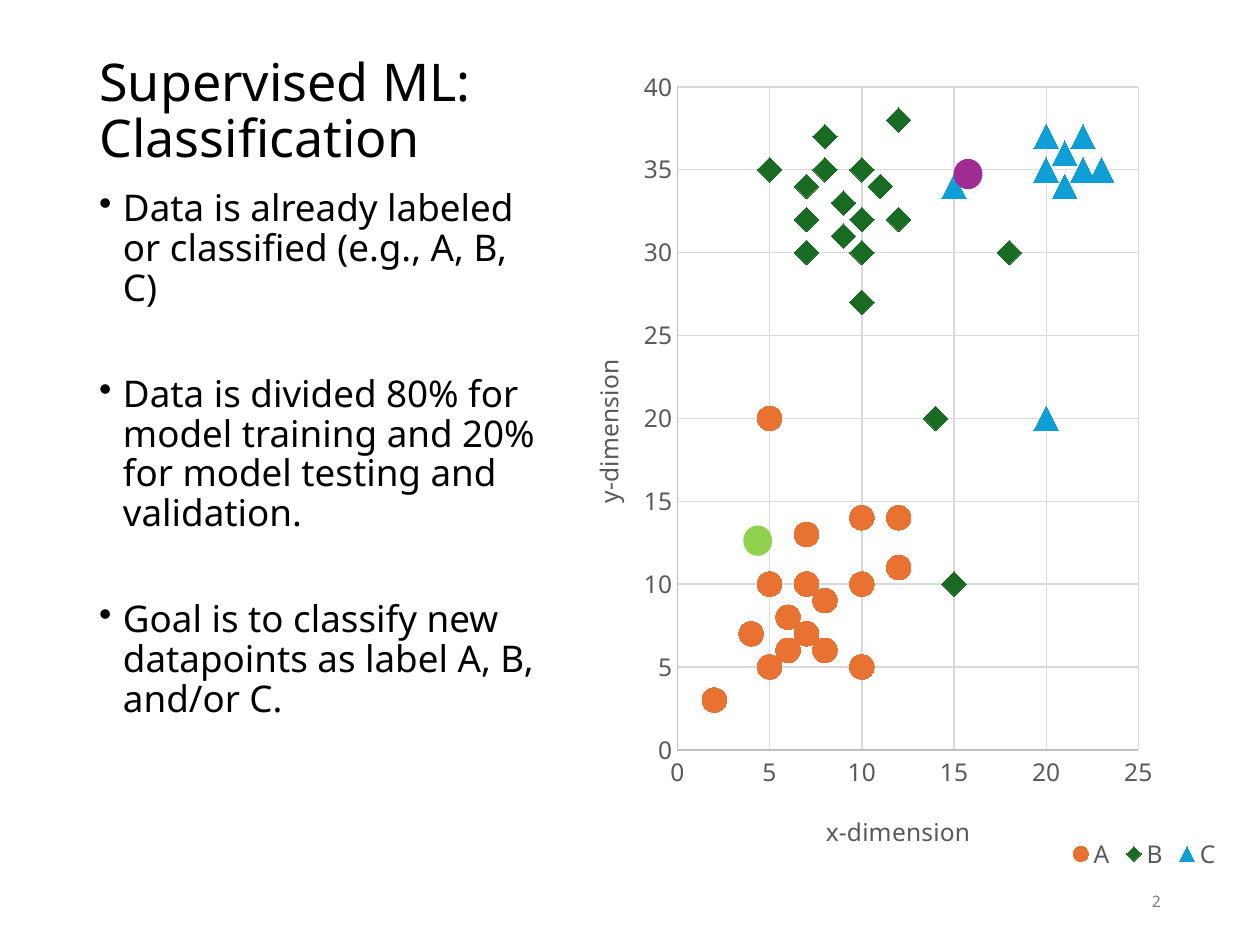
from pptx import Presentation
from pptx.chart.data import XyChartData
from pptx.dml.color import RGBColor
from pptx.enum.chart import XL_CHART_TYPE, XL_LEGEND_POSITION, XL_MARKER_STYLE, XL_TICK_MARK
from pptx.enum.shapes import MSO_SHAPE
from pptx.enum.text import MSO_ANCHOR, MSO_AUTO_SIZE, PP_ALIGN
from pptx.oxml import parse_xml
from pptx.oxml.ns import nsdecls, qn
from pptx.util import Cm, Pt

FONT = "Noto Sans"
BLACK = RGBColor(0x00, 0x00, 0x00)
GRAY = RGBColor(0x59, 0x59, 0x59)
NUMBER_GRAY = RGBColor(0x79, 0x79, 0x79)
AXIS_GRAY = RGBColor(0xBF, 0xBF, 0xBF)
GRID_GRAY = RGBColor(0xD9, 0xD9, 0xD9)
ORANGE = RGBColor(0xE9, 0x71, 0x32)
GREEN = RGBColor(0x19, 0x6B, 0x24)
BLUE = RGBColor(0x0F, 0x9E, 0xD5)
LIME = RGBColor(0x92, 0xD0, 0x50)
PURPLE = RGBColor(0xA0, 0x2B, 0x93)

BULLETS = [
    "Data is already labeled or classified (e.g., A, B, C)",
    "Data is divided 80% for model training and 20% for model testing and validation.",
    "Goal is to classify new datapoints as label A, B, and/or C.",
]
CLASSES = [
    ("A", ORANGE, XL_MARKER_STYLE.CIRCLE,
     [(2, 3), (4, 7), (5, 5), (5, 10), (5, 20), (6, 6), (6, 8), (7, 7), (7, 10), (7, 13),
      (8, 6), (8, 9), (10, 5), (10, 10), (10, 14), (12, 11), (12, 14)]),
    ("B", GREEN, XL_MARKER_STYLE.DIAMOND,
     [(5, 35), (7, 30), (7, 32), (7, 34), (8, 35), (8, 37), (9, 31), (9, 33), (10, 27),
      (10, 30), (10, 32), (10, 35), (11, 34), (12, 32), (12, 38), (14, 20), (15, 10), (18, 30)]),
    ("C", BLUE, XL_MARKER_STYLE.TRIANGLE,
     [(15, 34), (20, 20), (20, 35), (20, 37), (21, 34), (21, 36), (22, 35), (22, 37), (23, 35)]),
]


def style(font, size, color):
    font.name = FONT
    font.size = Pt(size)
    font.bold = False
    font.color.rgb = color


def place(element, index, target="", **shares):
    old = element.find(qn("c:layout"))
    if old is not None:
        element.remove(old)
    modes = "".join(f'<c:{name}Mode val="edge"/>' for name in "xy")
    values = "".join(f'<c:{name} val="{share}"/>' for name, share in shares.items())
    element.insert(index, parse_xml(
        f'<c:layout {nsdecls("c")}><c:manualLayout>{target}{modes}{values}'
        "</c:manualLayout></c:layout>"))


deck = Presentation()
deck.slide_width, deck.slide_height = Cm(25.4), Cm(19.05)
page = deck.slides.add_slide(deck.slide_layouts[5])

title = page.shapes.title
title.left, title.top, title.width, title.height = Cm(1.75), Cm(1.02), Cm(10.24), Cm(2.49)
title.text_frame.text = "Supervised ML: Classification"
title.text_frame.auto_size = MSO_AUTO_SIZE.NONE
title.text_frame.vertical_anchor = MSO_ANCHOR.MIDDLE
para = title.text_frame.paragraphs[0]
para.alignment = PP_ALIGN.LEFT
para.line_spacing = 0.9
style(para.font, 29.7, BLACK)

body = page.shapes.add_textbox(Cm(1.75), Cm(3.71), Cm(9.4), Cm(13.82))
body.text_frame.word_wrap = True
body.text_frame.text = "\n".join(BULLETS)
for number, para in enumerate(body.text_frame.paragraphs):
    para.line_spacing = 0.9
    para.space_before = Pt(38 if number else 7.5)
    style(para.font, 21, BLACK)
    properties = para._p.get_or_add_pPr()
    properties.set("marL", str(Cm(0.48)))
    properties.set("indent", str(Cm(-0.48)))
    bullet = parse_xml(f'<a:buChar {nsdecls("a")} char="•"/>')
    properties.find(qn("a:defRPr")).addprevious(bullet)

number_box = page.shapes.add_textbox(Cm(17.93), Cm(17.65), Cm(5.72), Cm(1.02))
number_box.text_frame.vertical_anchor = MSO_ANCHOR.MIDDLE
number_box.text_frame.word_wrap = True
para = number_box.text_frame.paragraphs[0]
para.text = "2"
para.alignment = PP_ALIGN.RIGHT
style(para.font, 9, NUMBER_GRAY)

all_points = sorted(point for *_, points in CLASSES for point in points)
data = XyChartData()
for name, color, marker, points in CLASSES:
    series = data.add_series(name)
    for x, y in all_points:
        series.add_data_point(x, y if (x, y) in points else None)
chart = page.shapes.add_chart(
    XL_CHART_TYPE.XY_SCATTER, Cm(10.95), Cm(0.89), Cm(14.02), Cm(16.92), data).chart
for blank in chart._chartSpace.xpath('.//c:yVal//c:pt[c:v="None" or c:v=""]'):
    blank.getparent().remove(blank)
style(chart.font, 10, BLACK)
chart.has_title = False
chart.plots[0].vary_by_categories = False

for series, (name, color, marker, points) in zip(chart.plots[0].series, CLASSES):
    series.smooth = False
    series.format.line.fill.background()
    series.marker.style = marker
    series.marker.size = 14
    series.marker.format.fill.solid()
    series.marker.format.fill.fore_color.rgb = color
    series.marker.format.line.color.rgb = color

for axis, name, maximum, left, top in [
    (chart.category_axis, "x-dimension", 25, 0.4, 0.91),
    (chart.value_axis, "y-dimension", 40, 0.06, 0.37),
]:
    axis.minimum_scale, axis.maximum_scale, axis.major_unit = 0, maximum, 5
    axis.major_tick_mark = axis.minor_tick_mark = XL_TICK_MARK.NONE
    axis.has_major_gridlines = True
    for line, color in [(axis.format.line, AXIS_GRAY),
                        (axis.major_gridlines.format.line, GRID_GRAY)]:
        line.color.rgb = color
        line.width = Pt(0.75)
    style(axis.tick_labels.font, 14, GRAY)
    frame = axis.axis_title.text_frame
    frame.text = name
    style(frame.paragraphs[0].font, 14, GRAY)
    place(axis.axis_title._element, 1, x=left, y=top)

chart.has_legend = True
chart.legend.position = XL_LEGEND_POSITION.BOTTOM
chart.legend.include_in_layout = False
style(chart.legend.font, 14, GRAY)
place(chart.legend._element, 1, x=0.75, y=0.94, w=0.23, h=0.05)
place(chart._chartSpace.chart.plotArea, 0, '<c:layoutTarget val="inner"/>',
      x=0.193, y=0.051, w=0.663, h=0.79)

for left, top, color in [(15.01, 10.62, LIME), (19.25, 3.23, PURPLE)]:
    datapoint = page.shapes.add_shape(MSO_SHAPE.OVAL, Cm(left), Cm(top), Cm(0.53), Cm(0.56))
    datapoint.shadow.inherit = False
    datapoint.fill.solid()
    datapoint.fill.fore_color.rgb = color
    datapoint.line.color.rgb = color
    datapoint.line.width = Pt(1.5)

deck.save("out.pptx")
